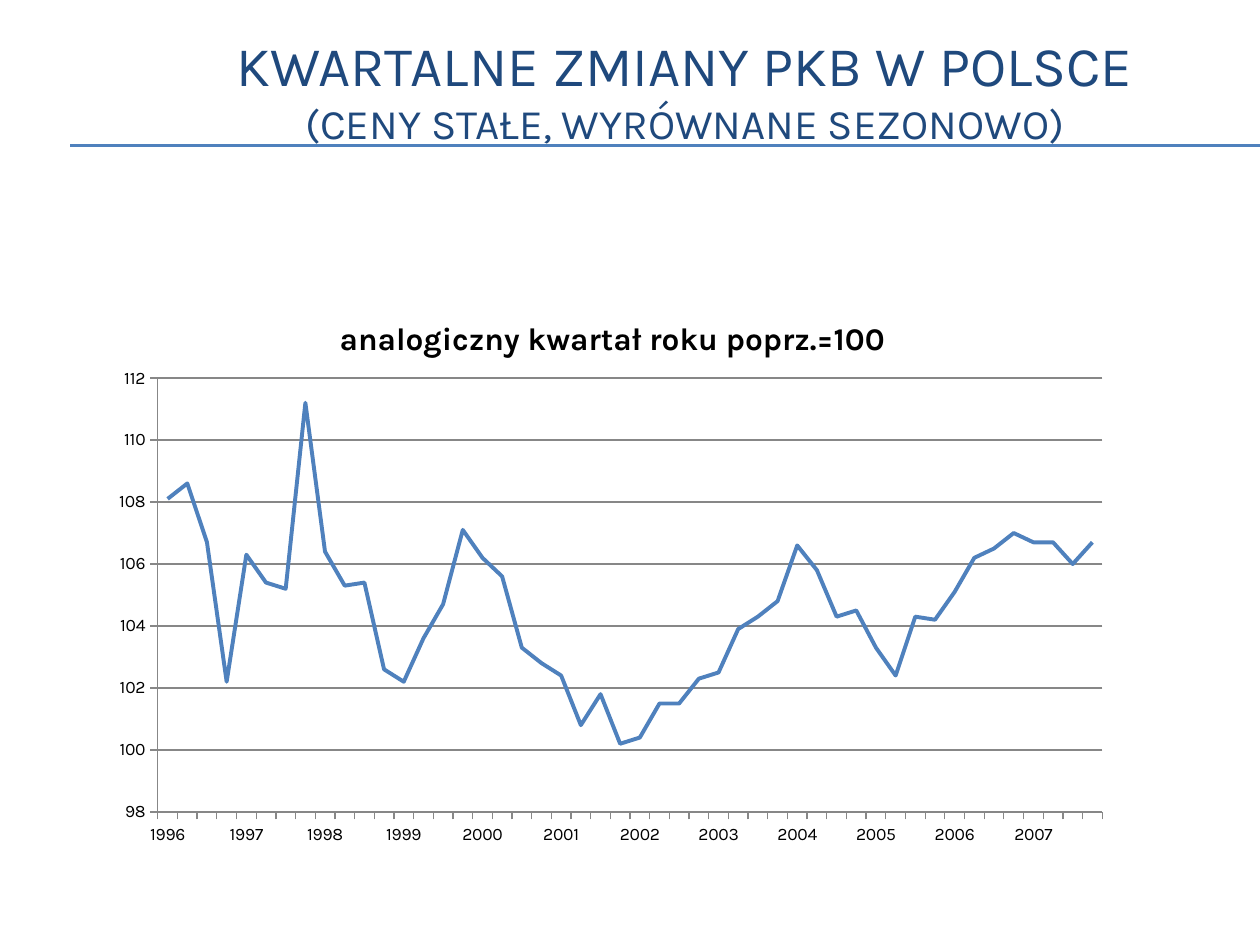
import pptx
import pptx.chart.data
import pptx.dml.color
import pptx.enum.chart
import pptx.enum.shapes
import pptx.enum.text
import pptx.oxml
import pptx.oxml.ns
import pptx.util
from pptx.util import Pt

NAVY = pptx.dml.color.RGBColor(0x1F, 0x49, 0x7D)
BLUE = pptx.dml.color.RGBColor(0x4F, 0x81, 0xBD)
GREY = pptx.dml.color.RGBColor(0x87, 0x87, 0x87)
BLACK = pptx.dml.color.RGBColor(0, 0, 0)
FONT = "Karla"
CHART_TITLE = "analogiczny kwartał roku poprz.=100"
GDP_BY_YEAR = {
    1996: (108.1, 108.6, 106.7, 102.2),
    1997: (106.3, 105.4, 105.2, 111.2),
    1998: (106.4, 105.3, 105.4, 102.6),
    1999: (102.2, 103.6, 104.7, 107.1),
    2000: (106.2, 105.6, 103.3, 102.8),
    2001: (102.4, 100.8, 101.8, 100.2),
    2002: (100.4, 101.5, 101.5, 102.3),
    2003: (102.5, 103.9, 104.3, 104.8),
    2004: (106.6, 105.8, 104.3, 104.5),
    2005: (103.3, 102.4, 104.3, 104.2),
    2006: (105.1, 106.2, 106.5, 107),
    2007: (106.7, 106.7, 106, 106.7),
}


def style_font(font, size, color, bold=False):
    """Set the face, size, colour and weight of a font."""
    font.name = FONT
    font.size = Pt(size)
    font.color.rgb = color
    font.bold = bold


def add_span(para, text, **style):
    """Append a formatted span to a paragraph."""
    span = para.add_run()
    span.text = text
    style_font(span.font, **style)


def add_rules(page, left, right, heights):
    """Draw the horizontal rules under the heading."""
    for height in heights:
        rule = page.shapes.add_connector(
            pptx.enum.shapes.MSO_CONNECTOR.STRAIGHT,
            Pt(left), Pt(height), Pt(right), Pt(height))
        rule.line.color.rgb = BLUE
        rule.line.width = Pt(0.75)
        rule._element.spPr.append(pptx.oxml.parse_xml(
            f'<a:effectLst {pptx.oxml.ns.nsdecls("a")}/>'))


def add_heading(page, left, top, width, height):
    """Place the two-line heading in its box."""
    box = page.shapes.add_textbox(Pt(left), Pt(top), Pt(width), Pt(height))
    frame = box.text_frame
    frame.word_wrap = True
    frame.vertical_anchor = pptx.enum.text.MSO_ANCHOR.MIDDLE
    para = frame.paragraphs[0]
    para.alignment = pptx.enum.text.PP_ALIGN.CENTER
    add_span(para, "KWARTALNE ZMIANY PKB W POLSCE", size=32, color=NAVY)
    para.add_line_break()
    add_span(para, "(CENY STAŁE, WYRÓWNANE SEZONOWO)", size=24, color=NAVY)


def make_layout(target="", **places):
    """Build a manual chart layout from fractions of the chart box."""
    inner = f'<c:layoutTarget val="{target}"/>' if target else ""
    modes = "".join(f'<c:{key}Mode val="edge"/>' for key in ("x", "y"))
    values = "".join(f'<c:{key} val="{value}"/>' for key, value in places.items())
    return pptx.oxml.parse_xml(
        f'<c:layout {pptx.oxml.ns.nsdecls("c")}><c:manualLayout>'
        f'{inner}{modes}{values}</c:manualLayout></c:layout>')


def set_layout(element, layout, after=None):
    """Replace the layout of a chart part."""
    for old in element.findall(pptx.oxml.ns.qn("c:layout")):
        element.remove(old)
    if after is None:
        element.insert(0, layout)
    else:
        after.addnext(layout)


def style_axis(axis):
    """Give an axis its outward ticks, grey line and small labels."""
    axis.major_tick_mark = pptx.enum.chart.XL_TICK_MARK.OUTSIDE
    axis.minor_tick_mark = pptx.enum.chart.XL_TICK_MARK.NONE
    axis.format.line.color.rgb = GREY
    axis.format.line.width = Pt(0.75)
    style_font(axis.tick_labels.font, 10, BLACK)


def add_gdp_chart(page, left, top, width, height):
    """Place the line chart of quarterly GDP changes in its box."""
    data = pptx.chart.data.CategoryChartData()
    data.categories = [label for year in GDP_BY_YEAR
                       for label in (str(year), "", "", "")]
    data.add_series(CHART_TITLE, [value for quarters in GDP_BY_YEAR.values()
                                  for value in quarters])
    chart = page.shapes.add_chart(
        pptx.enum.chart.XL_CHART_TYPE.LINE,
        Pt(left), Pt(top), Pt(width), Pt(height), data).chart
    style_font(chart.font, 10, BLACK)
    chart.has_legend = False

    chart.has_title = True
    para = chart.chart_title.text_frame.paragraphs[0]
    add_span(para, CHART_TITLE, size=18, color=BLACK, bold=True)
    chart.chart_title.include_in_layout = False
    title = chart.chart_title._element
    set_layout(title, make_layout(x=0.23, y=0.05),
               title.find(pptx.oxml.ns.qn("c:tx")))
    plot = chart.plots[0]
    plot.vary_by_categories = False
    set_layout(plot._element.getparent(),
               make_layout("inner", x=0.058, y=0.165, w=0.922, h=0.757))

    style_axis(chart.category_axis)
    values = chart.value_axis
    style_axis(values)
    values.minimum_scale, values.maximum_scale, values.major_unit = 98, 112, 2
    values.tick_labels.number_format = "General"
    values.tick_labels.number_format_is_linked = False
    values.has_major_gridlines = True
    values.major_gridlines.format.line.color.rgb = GREY
    values.major_gridlines.format.line.width = Pt(0.75)

    series = plot.series[0]
    series.smooth = False
    series.marker.style = pptx.enum.chart.XL_MARKER_STYLE.NONE
    series.format.line.color.rgb = BLUE
    series.format.line.width = Pt(2.25)


def main():
    """Build the slide and save the deck."""
    deck = pptx.Presentation()
    deck.slide_width, deck.slide_height = Pt(720), Pt(540)
    page = deck.slides.add_slide(deck.slide_layouts[6])
    add_rules(page, 40.3, 720, (82.8, 82.8, 83.5))
    add_heading(page, 112.3, 11.5, 558, 78.5)
    add_gdp_chart(page, 56.2, 162, 585.4, 327.6)
    deck.save("out.pptx")


if __name__ == "__main__":
    main()
